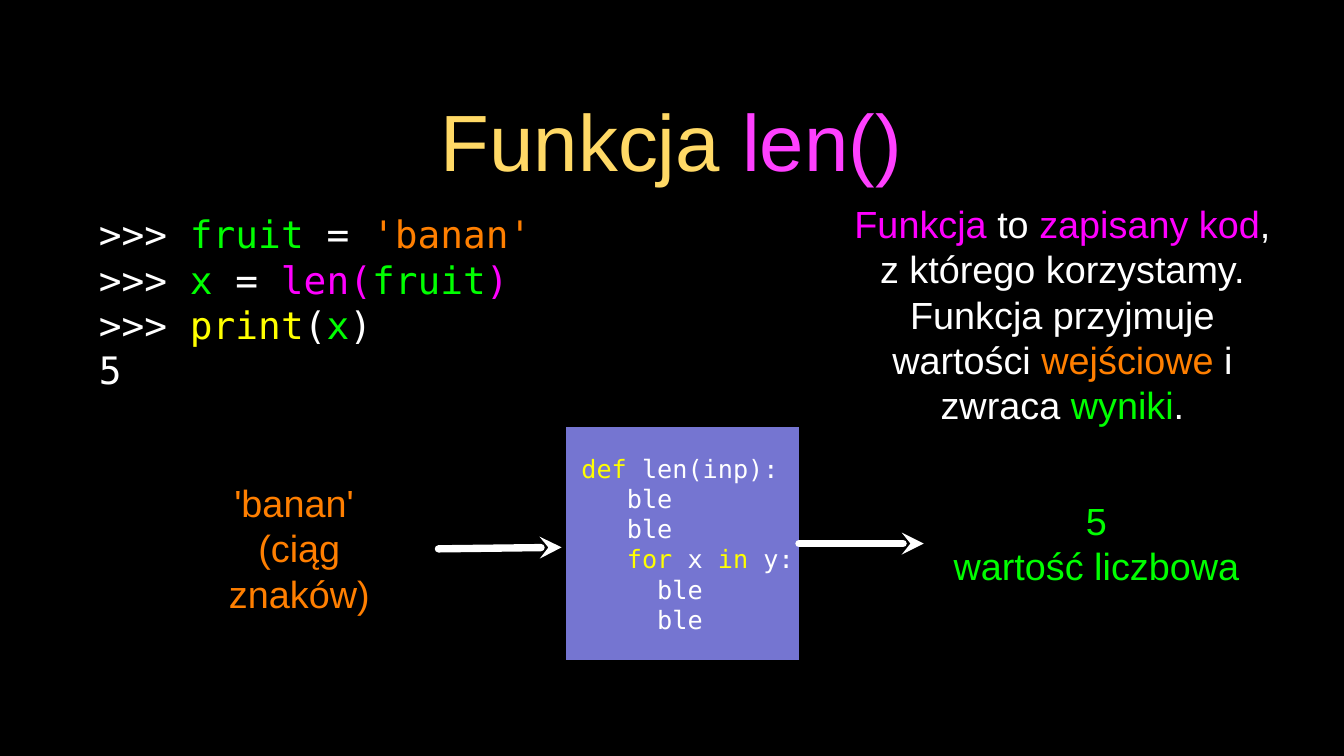
from pptx import Presentation
from pptx import util as u
from pptx.dml.color import RGBColor
from pptx.enum import shapes, text
from pptx.oxml import parse_xml
from pptx.oxml.ns import nsdecls

THEME = {
    "sans": "Arial", "mono": "DejaVu Sans Mono",
    "title": 76, "body": 36, "code": 24, "arrow": 7, "leading": 1.2,
    "black": "000000", "white": "FFFFFF", "gold": "FFD966", "pink": "FF40FF",
    "magenta": "FF00FF", "orange": "FF7F00", "green": "00FF00",
    "yellow": "FFFF00", "violet": "7575D1",
}

# Each paragraph is a list of (words, colour) runs.
TITLE = [[("Funkcja ", "gold"), ("len()", "pink")]]
SESSION = [
    [(">>> ", "white"), ("fruit ", "green"), ("=", "white"), (" 'banan'", "orange")],
    [(">>> ", "white"), ("x ", "green"), ("= ", "white"), ("len(", "magenta"),
     ("fruit", "green"), (")", "magenta")],
    [(">>> ", "white"), ("print", "yellow"), ("(", "white"), ("x", "green"), (")", "white")],
    [("5", "white")],
]
DESCRIPTION = [[
    ("Funkcja", "magenta"), (" to ", "white"), ("zapisany kod", "magenta"),
    (", z którego korzystamy. Funkcja przyjmuje wartości ", "white"),
    ("wejściowe", "orange"), (" i zwraca ", "white"), ("wyniki", "green"), (".", "white"),
]]
FUNCTION_CODE = [
    [(" def", "yellow"), (" len(inp):", "white")],
    [("    ble", "white")],
    [("    ble", "white")],
    [("    for", "yellow"), (" x ", "white"), ("in", "yellow"), (" y:", "white")],
    [("      ble", "white")],
    [("      ble", "white")],
]
INPUT = [[("'banan' ", "orange")], [("(ciąg znaków)", "orange")]]
OUTPUT = [[("5", "green")], [("wartość liczbowa", "green")]]

LEFT, CENTER = text.PP_ALIGN.LEFT, text.PP_ALIGN.CENTER
# content, (left, top, width, height), font, alignment
TEXT_BOXES = [
    (DESCRIPTION, (11.25, 2.96, 5.61, 2.39), "sans", CENTER),
    (SESSION, (1.31, 2.78, 6.17, 2.42), "mono", LEFT),
    (INPUT, (2.43, 6.64, 3.06, 1.21), "sans", CENTER),
    (OUTPUT, (12.51, 6.56, 3.99, 1.25), "sans", CENTER),
]
FUNCTION_BOX = (7.49, 5.65, 3.08, 3.08)
INPUT_ARROW = (5.8, 7.26, 7.43, 7.24)
OUTPUT_ARROW = (10.57, 7.19, 12.22, 7.19)


def color(name):
    return RGBColor.from_string(THEME[name])


def inches(values):
    return [u.Inches(value) for value in values]


def write(frame, paragraphs, font, size, align, inset=0, leading=True):
    """Fill a text frame with coloured runs, centred vertically."""
    settings = {
        "word_wrap": True, "auto_size": text.MSO_AUTO_SIZE.NONE,
        "vertical_anchor": text.MSO_ANCHOR.MIDDLE,
        **{f"margin_{side}": u.Inches(inset) for side in ("left", "top", "right", "bottom")},
    }
    for name, value in settings.items():
        setattr(frame, name, value)
    for index, runs in enumerate(paragraphs):
        paragraph = frame.paragraphs[0] if index == 0 else frame.add_paragraph()
        paragraph.alignment = align
        if leading:
            paragraph.line_spacing = u.Pt(THEME[size] * THEME["leading"])
        for words, shade in runs:
            run = paragraph.add_run()
            run.text = words
            run.font.name = THEME[font]
            run.font.size = u.Pt(THEME[size])
            run.font.color.rgb = color(shade)


def add_arrow(slide, ends):
    arrow = slide.shapes.add_connector(shapes.MSO_CONNECTOR.STRAIGHT, *inches(ends))
    arrow.line.color.rgb = color("white")
    arrow.line.width = u.Pt(THEME["arrow"])
    line = arrow.line._get_or_add_ln()
    line.set("cap", "rnd")
    line.append(parse_xml(f'<a:tailEnd {nsdecls("a")} type="stealth"/>'))
    arrow._element.spPr.append(parse_xml(f'<a:effectLst {nsdecls("a")}/>'))
    return arrow


def main():
    deck = Presentation()
    deck.slide_width, deck.slide_height = inches((17.78, 10))
    slide = deck.slides.add_slide(deck.slide_layouts[5])
    slide.background.fill.solid()
    slide.background.fill.fore_color.rgb = color("black")

    title = slide.shapes.title
    title.left, title.top, title.width, title.height = inches((1.26, 0.91, 15.24, 1.87))
    write(title.text_frame, TITLE, "sans", "title", CENTER, inset=0.04, leading=False)

    function = slide.shapes.add_shape(shapes.MSO_SHAPE.RECTANGLE, *inches(FUNCTION_BOX))
    function.shadow.inherit = False
    function.fill.solid()
    function.fill.fore_color.rgb = color("violet")
    function.line.fill.background()
    write(function.text_frame, FUNCTION_CODE, "mono", "code", LEFT)

    add_arrow(slide, INPUT_ARROW)
    add_arrow(slide, OUTPUT_ARROW).begin_connect(function, 3)

    for paragraphs, place, font, align in TEXT_BOXES:
        box = slide.shapes.add_textbox(*inches(place))
        write(box.text_frame, paragraphs, font, "body", align)

    deck.save("out.pptx")


if __name__ == "__main__":
    main()
